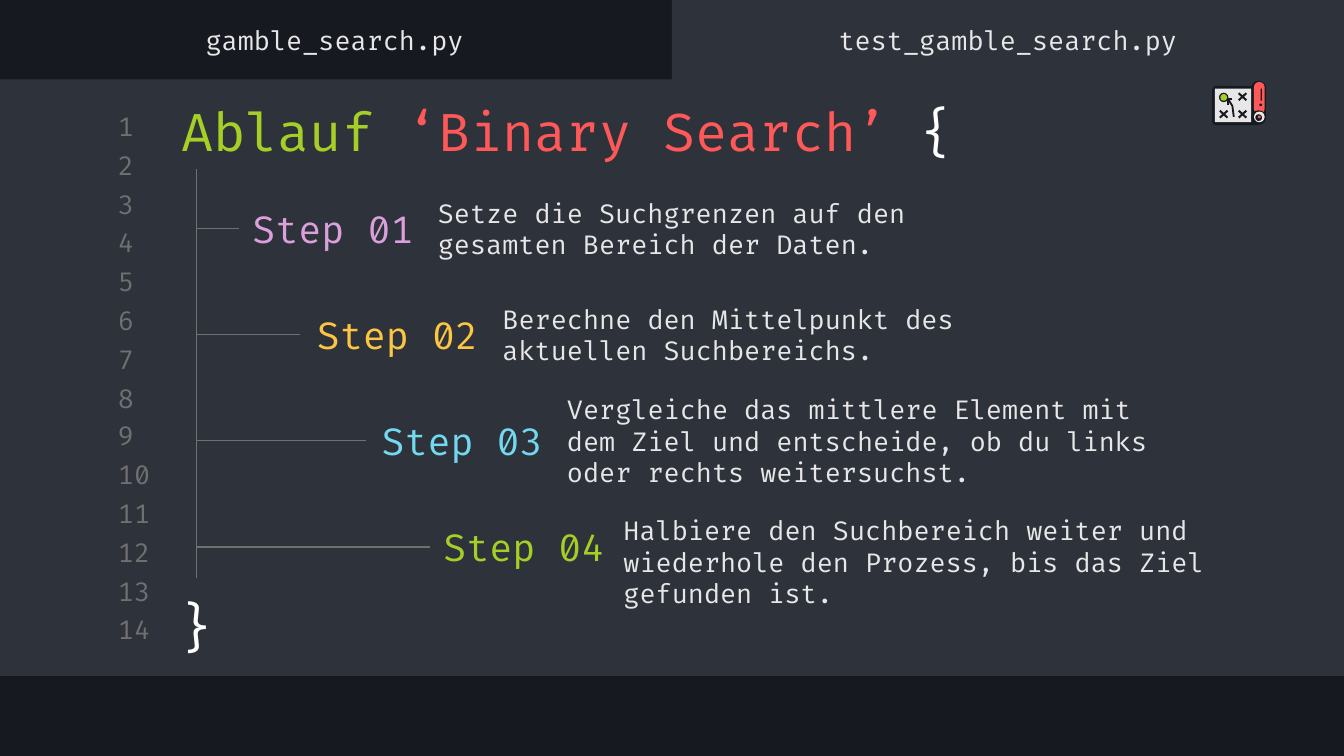
from lxml.etree import SubElement
from pptx import Presentation
from pptx.dml.color import RGBColor
from pptx.enum.shapes import MSO_CONNECTOR, MSO_SHAPE
from pptx.enum.text import MSO_ANCHOR, MSO_AUTO_SIZE, PP_ALIGN
from pptx.oxml.ns import qn
from pptx.util import Inches, Pt

PX = Inches(1) // 100
FONT = "Fira Code"
COLORS = {
    "ink": "16191F", "panel": "2E323B", "gray": "707070", "light": "E7E7E7",
    "white": "FFFFFF", "lime": "A5CF27", "red": "FF5858", "violet": "DBA0DB",
    "yellow": "FCC642", "cyan": "72D9F0",
}
STEPS = [
    ("Step 01", "violet", "Setze die Suchgrenzen auf den gesamten Bereich der Daten.",
     (178, 138), 0, (316, 138, 435)),
    ("Step 02", "yellow", "Berechne den Mittelpunkt des aktuellen Suchbereichs.",
     (226, 217), 3, (364, 217, 435)),
    ("Step 03", "cyan", "Vergleiche das mittlere Element mit dem Ziel und entscheide, "
     "ob du links oder rechts weitersuchst.", (274, 296), 2, (412, 296, 455)),
    ("Step 04", "lime", "Halbiere den Suchbereich weiter und wiederhole den Prozess, "
     "bis das Ziel gefunden ist.", (320, 375), 0, (454, 386, 518)),
]


def rgb(name):
    """Look up a named colour."""
    return RGBColor.from_string(COLORS[name])


def emu(*lengths):
    """Turn px into EMU."""
    return [length * PX for length in lengths]


def write(shape, runs, size, align=PP_ALIGN.LEFT, anchor=MSO_ANCHOR.MIDDLE):
    """Fill a shape with one paragraph of coloured runs."""
    frame = shape.text_frame
    frame_format = {
        "word_wrap": True, "auto_size": MSO_AUTO_SIZE.NONE, "vertical_anchor": anchor,
        **{f"margin_{side}": 10 * PX for side in ("left", "top", "right", "bottom")},
    }
    for key, value in frame_format.items():
        setattr(frame, key, value)
    paragraph = frame.paragraphs[0]
    paragraph.alignment = align
    for text, color in runs:
        run = paragraph.add_run()
        run.text = text
        for key, value in {"name": FONT, "size": Pt(size), "bold": False}.items():
            setattr(run.font, key, value)
        run.font.color.rgb = rgb(color)


def add_label(slide, box, text, color, size=14, **placement):
    """Add a text box with one run."""
    label = slide.shapes.add_textbox(*emu(*box))
    write(label, [(text, color)], size, **placement)
    return label


def add_block(shapes, kind, box, color):
    """Add a plain filled shape."""
    block = shapes.add_shape(kind, *emu(*box))
    block.shadow.inherit = False
    block.fill.solid()
    block.fill.fore_color.rgb = rgb(color)
    block.line.fill.background()
    return block


def add_rule(slide, start, end):
    """Add a thin gray straight connector."""
    rule = slide.shapes.add_connector(MSO_CONNECTOR.STRAIGHT, *emu(*start, *end))
    rule.line.color.rgb = rgb("gray")
    rule.line.width = Pt(0.75)
    SubElement(rule._element.spPr, qn("a:effectLst"))
    return rule


def add_editor(slide):
    """Draw the editor panel, the active tab and the line numbers."""
    for box in ((0, 59, 1000, 444), (500, 0, 500, 65)):
        add_block(slide.shapes, MSO_SHAPE.RECTANGLE, box, "panel")
    for index in range(14):
        top = 82 + round(index * 28.8)
        add_label(slide, (78, top, 47, 24), str(index + 1), "gray")


def add_title(slide, box):
    """Place the title in front of the panel."""
    title = slide.shapes.title
    slide.shapes._spTree.append(title._element)
    title.left, title.top, title.width, title.height = emu(*box)
    runs = [("Ablauf", "lime"), (" ‘Binary Search’ ", "red"), ("{", "white")]
    write(title, runs, 28, anchor=MSO_ANCHOR.TOP)


def add_steps(slide, spine, top, bottom):
    """Draw the spine and its branches to the described steps."""
    add_rule(slide, (spine, top), (spine, bottom))
    for name, color, description, (left, label_top), gap, (text_left, text_top, width) in STEPS:
        label = add_label(slide, (left, label_top, 142, 64), name, color, 20)
        add_label(slide, (text_left, text_top, width, 64), description, "light")
        middle = label_top + 32
        branch = add_rule(slide, (spine, middle), (left - gap, middle))
        if not gap:
            branch.end_connect(label, 1)


def add_strategy_icon(slide, left, top):
    """Draw the rolled strategy map."""
    shapes = slide.shapes.add_group_shape().shapes
    rect, rounded, oval, cross = (MSO_SHAPE.RECTANGLE, MSO_SHAPE.ROUNDED_RECTANGLE,
                                  MSO_SHAPE.OVAL, MSO_SHAPE.MATH_MULTIPLY)
    parts = [
        (rounded, (0, 4, 36, 29), "ink"), (rounded, (29, 0, 11, 32), "ink"),
        (rect, (2, 6, 27, 25), "light"), (rounded, (31, 1, 8, 24), "red"),
        (oval, (29, 22, 11, 11), "ink"), (oval, (31, 23, 8, 8), "light"),
        (oval, (32, 25, 5, 5), "ink"), (oval, (34, 26, 2, 2), "red"),
        (rect, (36, 6, 1, 9), "ink"), (oval, (35, 17, 2, 2), "ink"),
        (oval, (5, 9, 7, 7), "ink"), (oval, (6, 10, 5, 5), "lime"),
    ]
    parts += [(cross, (x, y, 11, 10), "ink") for x, y in ((17, 7), (17, 20), (3, 20))]
    for kind, (x, y, width, height), color in parts:
        block = add_block(shapes, kind, (left + x, top + y, width, height), color)
        if kind == rounded:
            block.adjustments[0] = 0.5 if width < 12 else 0.1
        elif kind == cross:
            block.adjustments[0] = 0.15
    for points in ([(15, 14), (12, 14), (12, 18)], [(12, 14), (15, 19), (16, 27)]):
        start, *rest = [(left + x, top + y) for x, y in points]
        builder = shapes.build_freeform(*start, scale=PX)
        builder.add_line_segments(rest, close=False)
        stroke = builder.convert_to_shape()
        stroke.shadow.inherit = False
        stroke.fill.background()
        stroke.line.color.rgb = rgb("ink")
        stroke.line.width = Pt(1)


def add_tabs(slide, top):
    """Write the file names on both tabs."""
    for left, name in ((-1, "gamble_search.py"), (500, "test_gamble_search.py")):
        add_label(slide, (left, top, 500, 39), name, "light", align=PP_ALIGN.CENTER)


def main():
    """Build and save the slide."""
    deck = Presentation()
    deck.slide_width = 1000 * PX
    deck.slide_height = deck.slide_width * 9 // 16
    slide = deck.slides.add_slide(deck.slide_layouts[5])
    slide.background.fill.solid()
    slide.background.fill.fore_color.rgb = rgb("ink")
    add_editor(slide)
    add_title(slide, (125, 64, 797, 59))
    add_label(slide, (119, 432, 55, 67), "}", "white", 28,
              align=PP_ALIGN.CENTER, anchor=MSO_ANCHOR.TOP)
    add_steps(slide, 146, 126, 430)
    add_strategy_icon(slide, 902, 60)
    add_tabs(slide, 10)
    deck.save("out.pptx")


if __name__ == "__main__":
    main()
